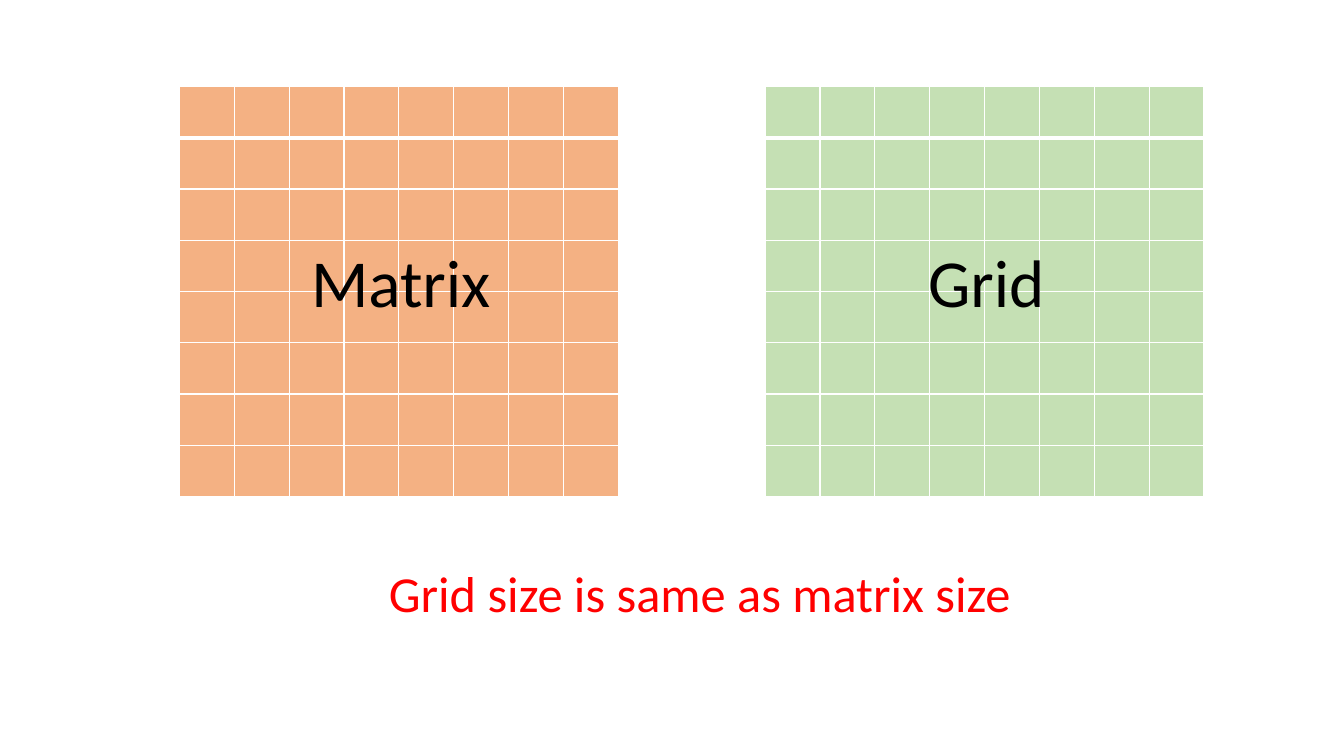
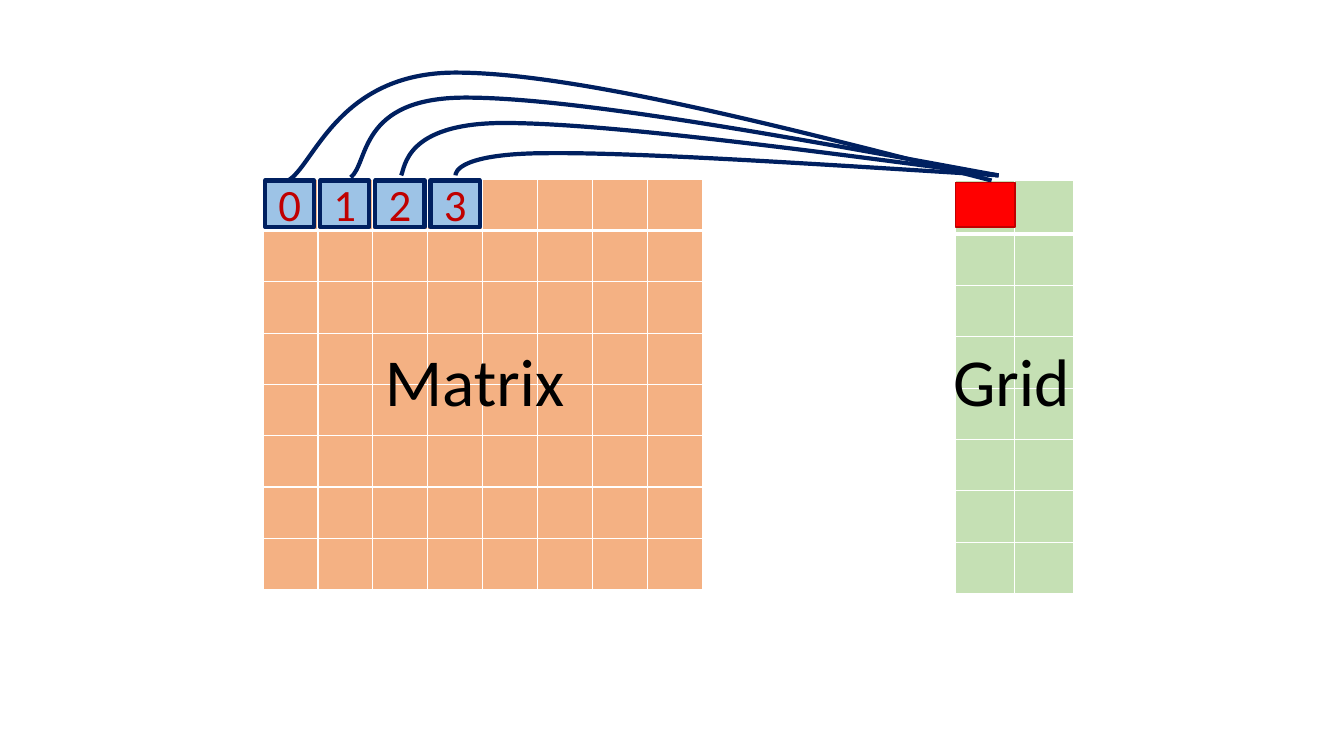
"""Build two slides that compare a matrix with its grid."""
from dataclasses import dataclass

from lxml import etree
from pptx import Presentation
from pptx.dml.color import RGBColor
from pptx.enum.shapes import MSO_SHAPE
from pptx.enum.text import MSO_ANCHOR, MSO_AUTO_SIZE, PP_ALIGN
from pptx.oxml.ns import qn
from pptx.slide import Slide
from pptx.table import _Cell
from pptx.text.text import TextFrame
from pptx.util import Cm, Pt

RECTANGLE = MSO_SHAPE.RECTANGLE
MIDDLE = MSO_ANCHOR.MIDDLE
GROW = MSO_AUTO_SIZE.SHAPE_TO_FIT_TEXT
LEFT, CENTER = PP_ALIGN.LEFT, PP_ALIGN.CENTER


@dataclass(frozen=True)
class Theme:
    """Colours, font, type sizes and line widths shared by the slides."""
    font: str = "Calibri"
    matrix: str = "F4B183"
    grid: str = "C5E0B4"
    border: str = "FFFFFF"
    text: str = "000000"
    accent: str = "FF0000"
    dark_red: str = "C00000"
    element: str = "9DC3E6"
    navy: str = "002060"
    label_size: int = 48
    caption_size: int = 36
    index_size: int = 32
    thin: int = 1
    thick: int = 3


@dataclass(frozen=True)
class Box:
    """Place and size in centimetres."""
    left: float
    top: float
    width: float
    height: float

    def lengths(self) -> tuple[Cm, Cm, Cm, Cm]:
        """Return the four values as slide lengths."""
        return Cm(self.left), Cm(self.top), Cm(self.width), Cm(self.height)


@dataclass(frozen=True)
class Lattice:
    """A table of empty cells with the place of its label."""
    label: str
    label_left: float
    label_top: float
    box: Box
    columns: int
    header: float
    color: str


THEME = Theme()
ROWS = 8
HEADER = 1.29

EQUAL_SIZES = (
    Lattice("Matrix", 7.59, 5.94, Box(4.52, 2.18, 11.07, 10.34), 8, HEADER, THEME.matrix),
    Lattice("Grid", 23.14, 5.94, Box(19.28, 2.18, 11.07, 10.34), 8, HEADER, THEME.grid),
)
NARROW_GRID = (
    Lattice("Matrix", 9.45, 8.43, Box(6.63, 4.52, 11.07, 10.34), 8, HEADER, THEME.matrix),
    Lattice("Grid", 23.77, 8.43, Box(24.08, 4.55, 2.97, 10.41), 2, 1.35, THEME.grid),
)
CURVES = (
    ((24.99, 4.55), (19.71, 3.18), (14.43, 1.83), (11.48, 1.83),
     (8.51, 1.83), (7.92, 4.17), (7.26, 4.55)),
    ((25.15, 4.42), (19.79, 3.43), (14.45, 2.46), (11.73, 2.46),
     (9.02, 2.46), (9.30, 4.11), (8.84, 4.47)),
    ((25.17, 4.42), (20.19, 3.76), (15.19, 3.10), (12.70, 3.10),
     (10.19, 3.10), (10.21, 4.24), (10.11, 4.42)),
    ((25.17, 4.42), (20.65, 4.14), (16.10, 3.84), (13.84, 3.86),
     (11.56, 3.86), (11.48, 4.34), (11.48, 4.42)),
)
ELEMENT = Box(6.68, 4.55, 1.24, 1.17)
ELEMENT_PITCH = 1.39


def rgb(color: str) -> RGBColor:
    """Turn a hexadecimal colour into a colour object."""
    return RGBColor.from_string(color)


def write(frame: TextFrame, text: str, *, size: int, color: str,
          align: PP_ALIGN = LEFT) -> None:
    """Put one formatted paragraph into a text frame."""
    para = frame.paragraphs[0]
    para.alignment = align
    span = para.add_run()
    span.text = text
    span.font.name = THEME.font
    span.font.size = Pt(size)
    span.font.color.rgb = rgb(color)


def add_text(page: Slide, box: Box, text: str, *, size: int, color: str) -> None:
    """Add a wrapping text box."""
    frame = page.shapes.add_textbox(*box.lengths()).text_frame
    frame.word_wrap = True
    frame.auto_size = GROW
    write(frame, text, size=size, color=color)


def set_borders(cell: _Cell, top: int, bottom: int) -> None:
    """Draw the four borders of a cell, with widths in points."""
    properties = cell._tc.get_or_add_tcPr()
    widths = {"L": THEME.thin, "R": THEME.thin, "T": top, "B": bottom}
    for side, width in widths.items():
        line = etree.SubElement(properties, qn(f"a:ln{side}"), w=str(Pt(width)))
        fill = etree.SubElement(line, qn("a:solidFill"))
        etree.SubElement(fill, qn("a:srgbClr"), val=THEME.border)


def add_lattice(page: Slide, lattice: Lattice) -> None:
    """Add a table of equally coloured cells."""
    box = lattice.box
    table = page.shapes.add_table(ROWS, lattice.columns, *box.lengths()).table
    table.first_row = table.horz_banding = False
    for column in table.columns:
        column.width = Cm(box.width / lattice.columns)
    for index, row in enumerate(table.rows):
        body_height = (box.height - lattice.header) / (ROWS - 1)
        row.height = Cm(body_height if index else lattice.header)
        for cell in row.cells:
            set_borders(cell,
                        top=THEME.thick if index == 1 else THEME.thin,
                        bottom=THEME.thin if index else THEME.thick)
            cell.fill.solid()
            cell.fill.fore_color.rgb = rgb(lattice.color)


def add_labels(page: Slide, lattices: tuple[Lattice, ...]) -> None:
    """Add the name of each lattice over its cells."""
    for lattice in lattices:
        add_text(page, Box(lattice.label_left, lattice.label_top, 5.46, 2.31),
                 lattice.label, size=THEME.label_size, color=THEME.text)


def add_curve(page: Slide, points: tuple[tuple[float, float], ...]) -> None:
    """Add an open Bézier curve from its start and control points."""
    start, *others = [(Cm(x), Cm(y)) for x, y in points]
    builder = page.shapes.build_freeform(*start)
    builder.add_line_segments(others, close=False)
    curve = builder.convert_to_shape()
    segments = list(curve._element.iter(qn("a:lnTo")))
    for first in range(0, len(segments), 3):
        bezier = etree.Element(qn("a:cubicBezTo"))
        segments[first].addprevious(bezier)
        for segment in segments[first:first + 3]:
            bezier.append(segment[0])
            segment.getparent().remove(segment)
    curve.shadow.inherit = False
    curve.fill.background()
    curve.line.color.rgb = rgb(THEME.navy)
    curve.line.width = Pt(THEME.thick)


def add_square(page: Slide, box: Box, *, fill: str, line: str, width: int,
               text: str = "") -> None:
    """Add a highlighted cell, with its index if there is one."""
    square = page.shapes.add_shape(RECTANGLE, *box.lengths())
    square.shadow.inherit = False
    square.fill.solid()
    square.fill.fore_color.rgb = rgb(fill)
    square.line.color.rgb = rgb(line)
    square.line.width = Pt(width)
    if text:
        square.text_frame.vertical_anchor = MIDDLE
        write(square.text_frame, text, size=THEME.index_size,
              color=THEME.dark_red, align=CENTER)


def draw_equal_sizes(page: Slide) -> None:
    """Draw a grid as large as the matrix."""
    for lattice in EQUAL_SIZES:
        add_lattice(page, lattice)
    add_labels(page, EQUAL_SIZES)
    add_text(page, Box(9.55, 14.05, 18.64, 1.8), "Grid size is same as matrix size",
             size=THEME.caption_size, color=THEME.accent)


def draw_narrow_grid(page: Slide) -> None:
    """Draw four matrix elements that lead to one grid cell."""
    for lattice in NARROW_GRID:
        add_lattice(page, lattice)
    for points in CURVES:
        add_curve(page, points)
    for index in range(len(CURVES)):
        box = Box(ELEMENT.left + index * ELEMENT_PITCH, ELEMENT.top,
                  ELEMENT.width, ELEMENT.height)
        add_square(page, box, fill=THEME.element, line=THEME.navy,
                   width=THEME.thick, text=str(index))
    add_labels(page, NARROW_GRID)
    add_square(page, Box(24.08, 4.6, 1.5, 1.12), fill=THEME.accent,
               line=THEME.dark_red, width=THEME.thin)


def main() -> None:
    """Build and save the deck."""
    deck = Presentation()
    deck.slide_width, deck.slide_height = Cm(33.87), Cm(19.05)
    blank = deck.slide_layouts[6]
    for draw in (draw_equal_sizes, draw_narrow_grid):
        draw(deck.slides.add_slide(blank))
    deck.save("out.pptx")


if __name__ == "__main__":
    main()
